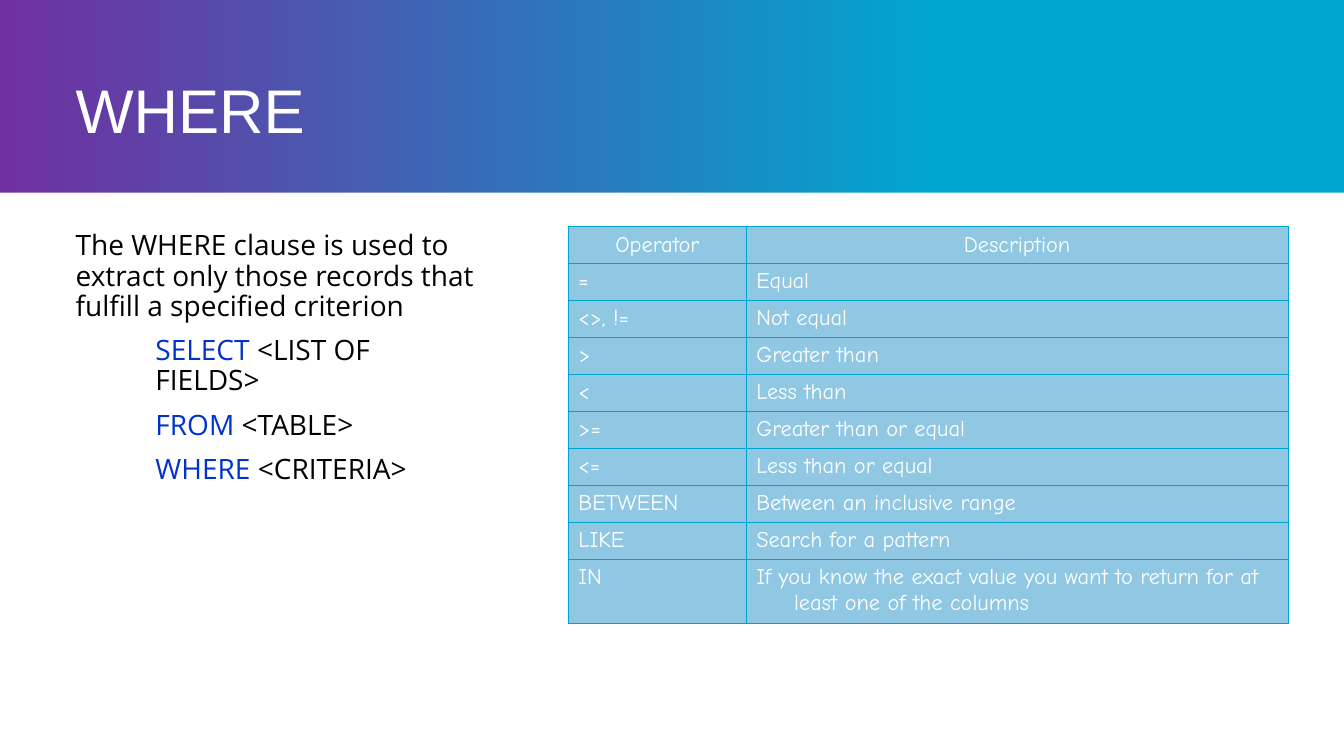
from dataclasses import dataclass

from lxml.etree import SubElement
from pptx import Presentation
from pptx.dml.color import RGBColor
from pptx.enum.shapes import MSO_SHAPE
from pptx.enum.text import MSO_ANCHOR, PP_ALIGN
from pptx.oxml.ns import qn
from pptx.util import Pt


@dataclass(frozen=True)
class Theme:
    cyan: str = "00A6CE"
    purple: str = "7030A0"
    white: str = "FFFFFF"
    black: str = "000000"
    keyword: str = "0033CC"
    cell: str = "90C7E3"
    title_font: str = "Arial"
    body_font: str = "Open Sans"
    table_font: str = "Comic Neue"
    title_size: float = 44
    body_size: float = 20
    table_size: float = 16
    border: float = 0.5


THEME = Theme()
SLIDE_WIDTH, SLIDE_HEIGHT = 960, 540
BANNER_HEIGHT = 137.5

INTRO = "The WHERE clause is used to extract only those records that fulfill a specified criterion"
CLAUSES = [("SELECT", " <LIST OF FIELDS>"), ("FROM", " <TABLE>"), ("WHERE", " <CRITERIA>")]
OPERATORS = [
    ("Operator", "Description"),
    ("=", "Equal"),
    ("<>, !=", "Not equal"),
    (">", "Greater than"),
    ("<", "Less than"),
    (">=", "Greater than or equal"),
    ("<=", "Less than or equal"),
    ("BETWEEN", "Between an inclusive range"),
    ("LIKE", "Search for a pattern"),
    ("IN", "If you know the exact value you want to return for at least one of the columns"),
]


def add_run(paragraph, text, font, size, color):
    run = paragraph.add_run()
    run.text = text
    run.font.name = font
    run.font.size = Pt(size)
    run.font.color.rgb = RGBColor.from_string(color)


def set_indent(paragraph, left, first=0):
    properties = paragraph._p.get_or_add_pPr()
    properties.set("marL", str(Pt(left)))
    properties.set("indent", str(Pt(first)))


def add_text_frame(slide, left, top, width, height):
    frame = slide.shapes.add_textbox(Pt(left), Pt(top), Pt(width), Pt(height)).text_frame
    frame.word_wrap = True
    frame.margin_left = 0
    return frame


def draw_backdrop(slide, left, top, width, height):
    # Gradient: solid cyan on the right, fading to purple on the left
    fill = slide.background.fill
    fill.gradient()
    fill.gradient_angle = 180
    for stop, position, color in zip(fill.gradient_stops, (0.3, 1), (THEME.cyan, THEME.purple)):
        stop.position = position
        stop.color.rgb = RGBColor.from_string(color)

    # White content area below the banner
    panel = slide.shapes.add_shape(MSO_SHAPE.RECTANGLE, Pt(left), Pt(top), Pt(width), Pt(height))
    panel.shadow.inherit = False
    panel.fill.solid()
    panel.fill.fore_color.rgb = RGBColor.from_string(THEME.white)
    panel.line.fill.background()


def draw_title(slide, left, top, width, height):
    frame = add_text_frame(slide, left, top, width, height)
    frame.vertical_anchor = MSO_ANCHOR.MIDDLE
    heading = frame.paragraphs[0]
    heading.line_spacing = 0.9
    add_run(heading, "WHERE", THEME.title_font, THEME.title_size, THEME.white)


def draw_syntax(slide, left, top, width, height):
    frame = add_text_frame(slide, left, top, width, height)
    intro = frame.paragraphs[0]
    add_run(intro, INTRO, THEME.body_font, THEME.body_size, THEME.black)
    for keyword, argument in CLAUSES:
        clause = frame.add_paragraph()
        set_indent(clause, 57)
        add_run(clause, keyword, THEME.body_font, THEME.body_size, THEME.keyword)
        add_run(clause, argument, THEME.body_font, THEME.body_size, THEME.black)
    for paragraph in frame.paragraphs:
        paragraph.space_before = Pt(10)
        paragraph.line_spacing = 0.9


def style_cell(cell):
    # Borders come before the fill in the cell properties
    properties = cell._tc.get_or_add_tcPr()
    for side in ("a:lnL", "a:lnR", "a:lnT", "a:lnB"):
        line = SubElement(properties, qn(side), w=str(Pt(THEME.border)))
        SubElement(SubElement(line, qn("a:solidFill")), qn("a:srgbClr"), val=THEME.cyan)
    cell.fill.solid()
    cell.fill.fore_color.rgb = RGBColor.from_string(THEME.cell)


def draw_operators(slide, left, top, width, height):
    operator_width, last_height = 127, 44
    row_height = (height - last_height) / (len(OPERATORS) - 1)
    table = slide.shapes.add_table(
        len(OPERATORS), 2, Pt(left), Pt(top), Pt(width), Pt(height)
    ).table
    table.columns[0].width = Pt(operator_width)
    table.columns[1].width = Pt(width - operator_width)
    for index, texts in enumerate(OPERATORS):
        is_last = index == len(OPERATORS) - 1
        table.rows[index].height = Pt(last_height if is_last else row_height)
        for column, text in enumerate(texts):
            cell = table.cell(index, column)
            style_cell(cell)
            entry = cell.text_frame.paragraphs[0]
            entry.alignment = PP_ALIGN.CENTER if index == 0 else PP_ALIGN.LEFT
            set_indent(entry, 27, -27)
            add_run(entry, text, THEME.table_font, THEME.table_size, THEME.white)


def main():
    presentation = Presentation()
    presentation.slide_width = Pt(SLIDE_WIDTH)
    presentation.slide_height = Pt(SLIDE_HEIGHT)
    slide = presentation.slides.add_slide(presentation.slide_layouts[6])
    draw_backdrop(slide, 0, BANNER_HEIGHT, SLIDE_WIDTH, SLIDE_HEIGHT - BANNER_HEIGHT)
    draw_title(slide, 54, 54, 852, 54)
    draw_syntax(slide, 54, 162, 294.5, 270)
    draw_operators(slide, 406, 162, 514, 274.4)
    presentation.save("out.pptx")


if __name__ == "__main__":
    main()
